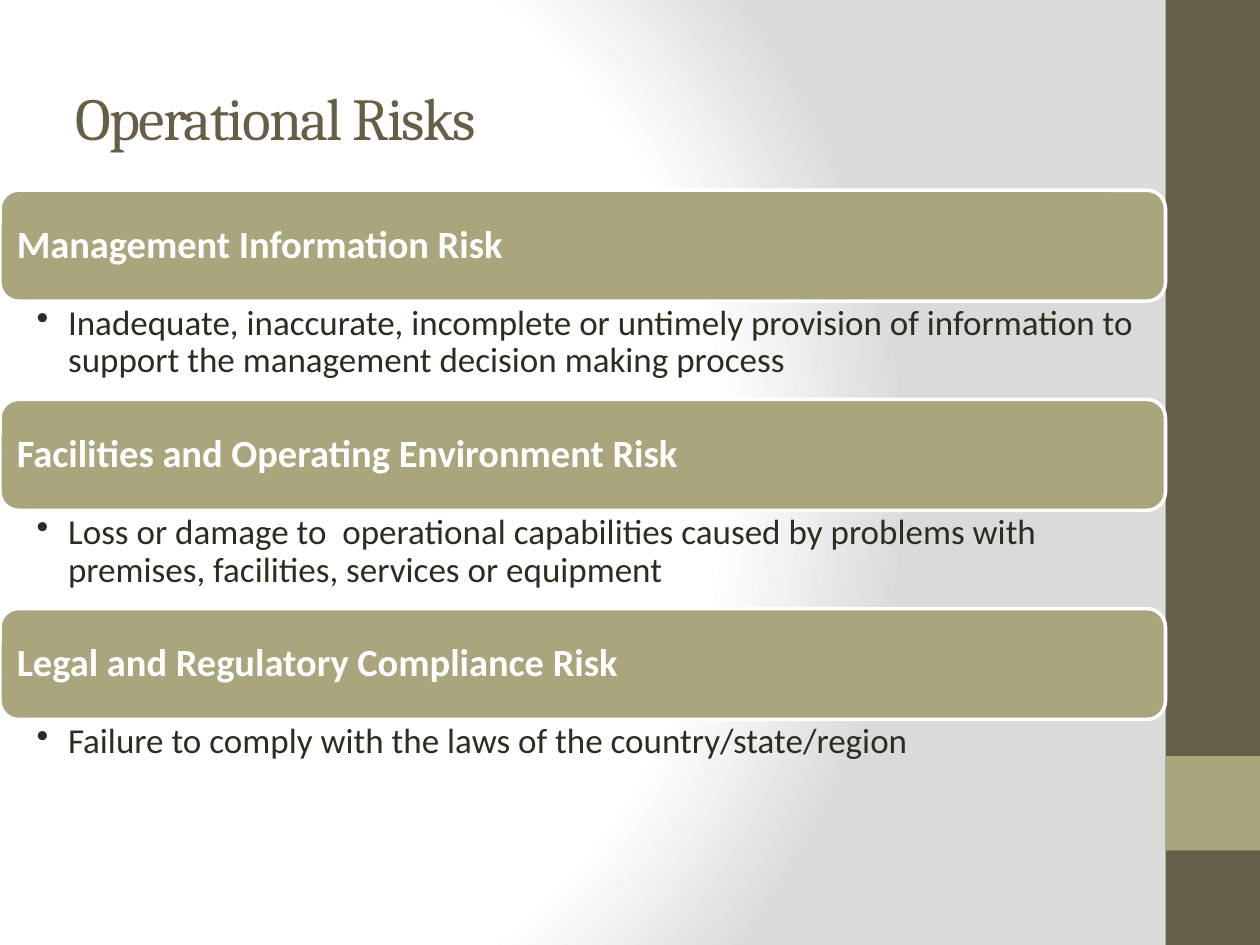
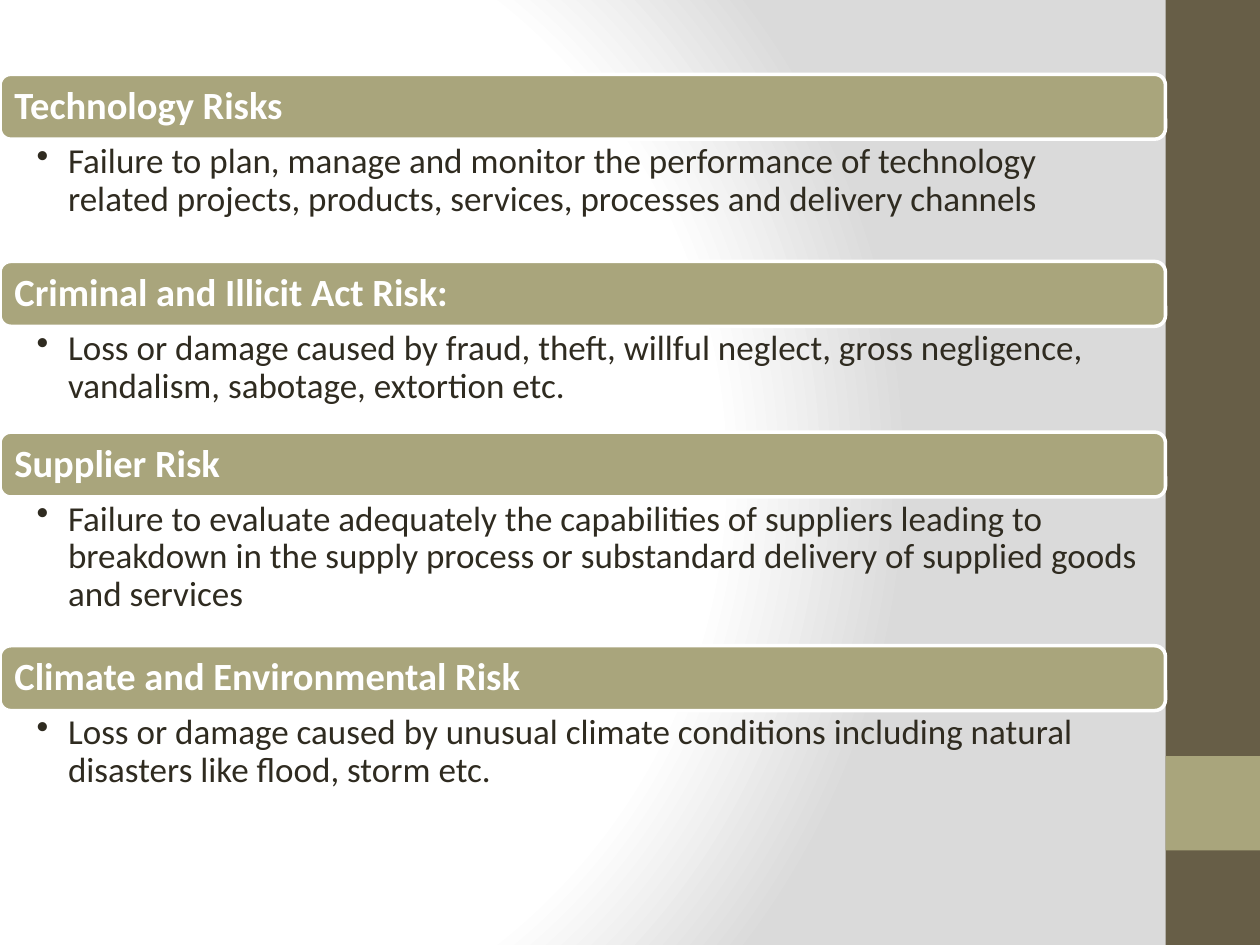
from lxml.etree import SubElement
from pptx import Presentation
from pptx.dml.color import RGBColor
from pptx.enum.shapes import MSO_SHAPE as Shape
from pptx.enum.text import MSO_ANCHOR as Anchor, PP_ALIGN as Align
from pptx.oxml import parse_xml
from pptx.oxml.ns import nsdecls, qn
from pptx.util import Inches, Pt

COLORS = {
    "dark": "675E47",
    "olive": "A9A57C",
    "ink": "2F2B20",
    "white": "FFFFFF",
    "grey": "DADADA",
}
COLS, ROWS = 40, 30
MAIN_COLS = 37

FORMATS = {
    "title": {"font": {"name": "Cambria", "size": Pt(34), "bold": False},
              "color": "dark", "anchor": Anchor.MIDDLE,
              "insets": (0.1, 0.05, 0.1, 0.05), "spacing": 1},
    "heading": {"font": {"name": "Calibri", "size": Pt(22), "bold": True},
                "color": "white", "anchor": Anchor.MIDDLE,
                "insets": (0.09, 0.09, 0.09, 0.09), "spacing": 0.9},
    "detail": {"font": {"name": "Calibri", "size": Pt(20), "bold": False},
               "color": "ink", "anchor": Anchor.TOP,
               "insets": (0.29, 0.03, 0.16, 0.03), "spacing": 0.9},
}

OPERATIONAL_RISKS = [
    ("Management Information Risk",
     "Inadequate, inaccurate, incomplete or untimely provision of information "
     "to support the management decision making process", 3.12),
    ("Facilities and Operating Environment Risk",
     "Loss or damage to  operational capabilities caused by problems with "
     "premises, facilities, services or equipment", 3.12),
    ("Legal and Regulatory Compliance Risk",
     "Failure to comply with the laws of the country/state/region", 3.12),
]
OTHER_RISKS = [
    ("Technology Risks",
     "Failure to plan, manage and monitor the performance of technology "
     "related projects, products, services, processes and delivery channels", 3.88),
    ("Criminal and Illicit Act Risk:",
     "Loss or damage caused by fraud, theft, willful neglect, gross negligence, "
     "vandalism, sabotage, extortion etc.", 3.36),
    ("Supplier Risk",
     "Failure to evaluate adequately the capabilities of suppliers leading to "
     "breakdown in the supply process or substandard delivery of supplied goods "
     "and services", 4.72),
    ("Climate and Environmental Risk",
     "Loss or damage caused by unusual climate conditions including natural "
     "disasters like flood, storm etc.", 3.72),
]


def rgb(name):
    return RGBColor.from_string(COLORS[name])


class Deck:
    def __init__(self):
        self.prs = Presentation()
        self.prs.slide_width, self.prs.slide_height = Inches(10), Inches(7.5)
        self.s = None
        self.background()

    def background(self):
        master = self.prs.slide_master
        master.background.fill.gradient()
        grad = master.element.find(f".//{qn('p:bgPr')}/{qn('a:gradFill')}")
        stops = "".join(
            f'<a:gs pos="{share * 1000}"><a:srgbClr val="{COLORS[name]}"/></a:gs>'
            for share, name in ((0, "white"), (75, "white"), (100, "grey")))
        grad.getparent().replace(grad, parse_xml(
            f'<a:gradFill {nsdecls("a")} rotWithShape="1"><a:gsLst>{stops}</a:gsLst>'
            '<a:path path="circle">'
            '<a:fillToRect l="20000" t="50000" r="100000" b="50000"/>'
            '</a:path></a:gradFill>'))

    def box(self, col, row, cols, rows):
        w, h = self.prs.slide_width / COLS, self.prs.slide_height / ROWS
        return [round(v) for v in (col * w, row * h, cols * w, rows * h)]

    def slide(self, title=None):
        layout = self.prs.slide_layouts[5 if title else 6]
        self.s = self.prs.slides.add_slide(layout)
        side = COLS - MAIN_COLS
        self.shape(Shape.RECTANGLE, (MAIN_COLS, 0, side, ROWS), "dark")
        self.shape(Shape.RECTANGLE, (MAIN_COLS, 24, side, side), "olive")
        if title:
            self.title(title)

    def shape(self, kind, cells, fill, line=None):
        sp = self.s.shapes.add_shape(kind, *self.box(*cells))
        sp.shadow.inherit = False
        sp.fill.solid()
        sp.fill.fore_color.rgb = rgb(fill)
        if line:
            sp.line.color.rgb = rgb(line)
            sp.line.width = Pt(2)
        else:
            sp.line.fill.background()
        return sp

    def text(self, sp, text, style):
        fmt = FORMATS[style]
        tf = sp.text_frame
        tf.word_wrap = True
        tf.vertical_anchor = fmt["anchor"]
        for side, inset in zip(("left", "top", "right", "bottom"), fmt["insets"]):
            setattr(tf, f"margin_{side}", Inches(inset))
        p = tf.paragraphs[0]
        p.alignment = Align.LEFT
        p.line_spacing = fmt["spacing"]
        r = p.add_run()
        r.text = text
        for key, value in fmt["font"].items():
            setattr(r.font, key, value)
        r.font.color.rgb = rgb(fmt["color"])
        return p

    def title(self, text):
        sp = self.s.shapes.title
        sp.left, sp.top, sp.width, sp.height = self.box(2, 1.2, 33.32, 5)
        p = self.text(sp, text, "title")
        p.runs[0].font._element.set("spc", "-100")

    def heading(self, text, row, rows):
        sp = self.shape(Shape.ROUNDED_RECTANGLE, (0, row, MAIN_COLS, rows),
                        "olive", "white")
        self.text(sp, text, "heading")

    def detail(self, text, row, rows):
        sp = self.s.shapes.add_textbox(*self.box(0, row, MAIN_COLS, rows))
        p = self.text(sp, text, "detail")
        pPr = p._p.get_or_add_pPr()
        pPr.set("marL", str(Inches(0.25)))
        pPr.set("indent", str(-Inches(0.25)))
        SubElement(pPr, qn("a:buChar")).set("char", "•")

    def risks(self, items, row, band_rows):
        for name, meaning, rows in items:
            self.heading(name, row, band_rows)
            self.detail(meaning, row + band_rows, rows)
            row += band_rows + rows


def main():
    deck = Deck()
    deck.slide("Operational Risks")
    deck.risks(OPERATIONAL_RISKS, row=6.04, band_rows=3.52)
    deck.slide()
    deck.risks(OTHER_RISKS, row=2.36, band_rows=2.06)
    deck.prs.save("out.pptx")


if __name__ == "__main__":
    main()
